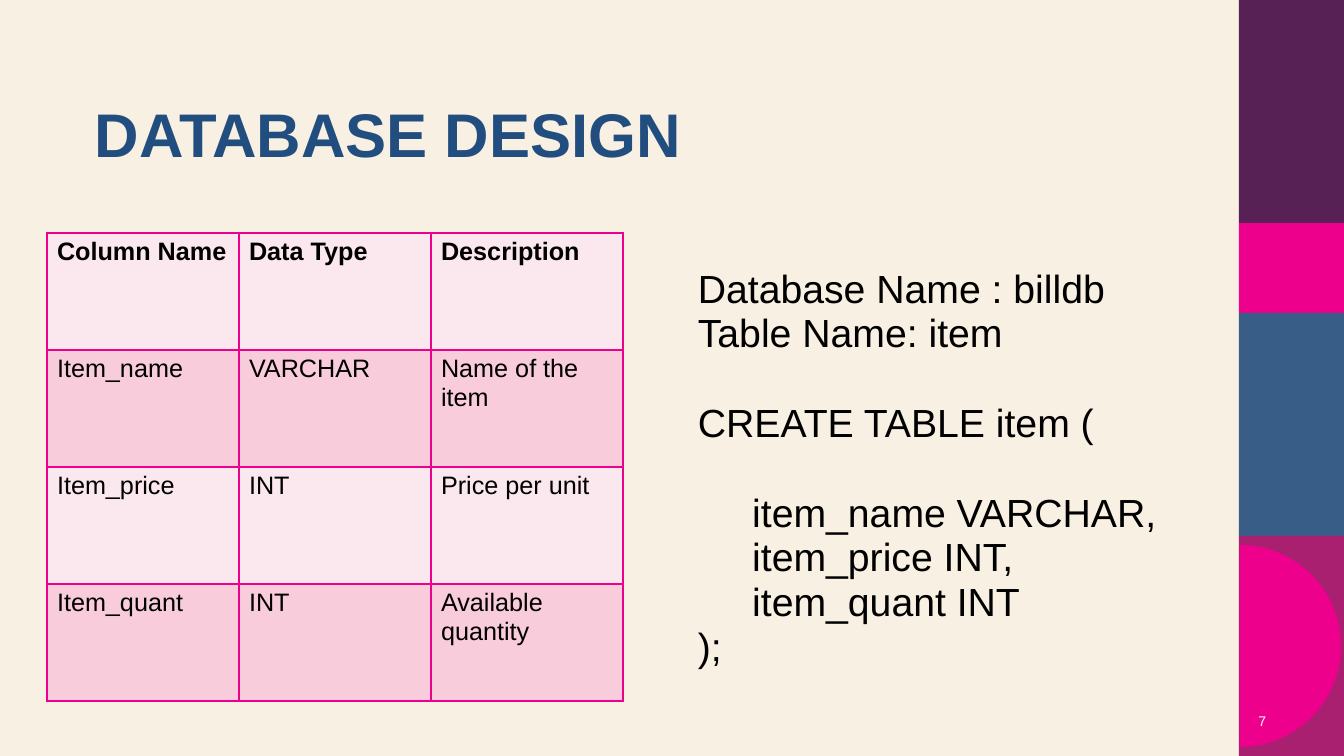
from math import cos, pi, sin

from lxml.etree import SubElement
from pptx import Presentation
from pptx.dml.color import RGBColor
from pptx.enum.shapes import MSO_SHAPE
from pptx.enum.text import MSO_ANCHOR, PP_ALIGN
from pptx.oxml.ns import qn
from pptx.util import Emu, Pt

COLORS = {
    "cream": "F8F0E3", "purple": "582156", "pink": "EC008C", "blue": "385E88",
    "magenta": "AA2070", "navy": "224E7F", "black": "000000", "white": "FFFFFF",
    "light_row": "FBE7EE", "dark_row": "F8CCDA",
}
FONT = "Arial"
SLIDE_W, SLIDE_H = 1344, 756
BAR_X = 1239

BANDS = [("purple", 0, 223), ("pink", 223, 313),
         ("blue", 313, 536), ("magenta", 536, SLIDE_H)]
COLUMNS = [
    ["Column Name", "Data Type", "Description"],
    ["Item_name", "VARCHAR", "Name of the item"],
    ["Item_price", "INT", "Price per unit"],
    ["Item_quant", "INT", "Available quantity"],
]
# Each line of the statement with the space after it in points
STATEMENT = [
    ("Database Name : billdb", 12),
    ("Table Name: item", 44),
    ("CREATE TABLE item (", 44),
    ("     item_name VARCHAR,", 12),
    ("     item_price INT,", 12),
    ("     item_quant INT", 12),
    (");", 12),
]


def px(n):
    return Emu(round(n * 914400 / 100.8))


def rgb(name):
    return RGBColor.from_string(COLORS[name])


def paint(sp, color):
    sp.shadow.inherit = False
    sp.fill.solid()
    sp.fill.fore_color.rgb = rgb(color)
    sp.line.fill.background()


def add_band(s, color, top, bottom):
    sp = s.shapes.add_shape(MSO_SHAPE.RECTANGLE, px(BAR_X), px(top),
                            px(SLIDE_W - BAR_X), px(bottom - top))
    paint(sp, color)


def add_half_disc(s, color, x, cy, radius, steps=90):
    angles = [pi * i / steps - pi / 2 for i in range(steps + 1)]
    points = [(px(x + radius * cos(a)), px(cy + radius * sin(a))) for a in angles]
    builder = s.shapes.build_freeform(*points[0])
    builder.add_line_segments(points[1:], close=True)
    paint(builder.convert_to_shape(), color)


def add_run(p, text, size, color, bold=False):
    r = p.add_run()
    r.text = text
    r.font.name = FONT
    r.font.size = Pt(size)
    r.font.bold = bold
    r.font.color.rgb = rgb(color)


def add_text_frame(s, x, y, w, h, anchor=MSO_ANCHOR.TOP):
    tf = s.shapes.add_textbox(px(x), px(y), px(w), px(h)).text_frame
    tf.word_wrap = True
    tf.vertical_anchor = anchor
    return tf


def add_statement(s, x, y, w, h):
    tf = add_text_frame(s, x, y, w, h)
    for i, (text, space_after) in enumerate(STATEMENT):
        p = tf.add_paragraph() if i else tf.paragraphs[0]
        p.line_spacing = Pt(20)
        p.space_after = Pt(space_after)
        add_run(p, text, 28, "black")


def set_borders(cell, color):
    tc_pr = cell._tc.get_or_add_tcPr()
    for side in ("a:lnL", "a:lnR", "a:lnT", "a:lnB"):
        ln = SubElement(tc_pr, qn(side), w=str(Pt(1)))
        fill = SubElement(ln, qn("a:solidFill"))
        SubElement(fill, qn("a:srgbClr"), val=COLORS[color])


def add_column_table(s, x, y, col_w, row_h):
    n_rows, n_cols = len(COLUMNS), len(COLUMNS[0])
    table = s.shapes.add_table(n_rows, n_cols, px(x), px(y),
                               px(col_w * n_cols), px(row_h * n_rows)).table
    table.first_row = table.horz_banding = False
    for col in table.columns:
        col.width = px(col_w)
    for i, values in enumerate(COLUMNS):
        table.rows[i].height = px(row_h)
        for j, text in enumerate(values):
            cell = table.cell(i, j)
            set_borders(cell, "pink")
            cell.fill.solid()
            cell.fill.fore_color.rgb = rgb("dark_row" if i % 2 else "light_row")
            add_run(cell.text_frame.paragraphs[0], text, 18, "black", bold=i == 0)


def main():
    prs = Presentation()
    prs.slide_width, prs.slide_height = px(SLIDE_W), px(SLIDE_H)
    s = prs.slides.add_slide(prs.slide_layouts[6])
    s.background.fill.solid()
    s.background.fill.fore_color.rgb = rgb("cream")

    # Colour bar on the right
    for band in BANDS:
        add_band(s, *band)
    add_half_disc(s, "pink", BAR_X + 1, 646, 101)

    # Title
    p = add_text_frame(s, 85, 99, 1035, 150).paragraphs[0]
    p.line_spacing = 0.9
    add_run(p, "DATABASE DESIGN", 44, "navy", bold=True)

    # Column table and SQL statement
    add_column_table(s, 47, 233, 192, 117)
    add_statement(s, 688, 278, 511, 400)

    # Slide number
    p = add_text_frame(s, 1226, 701, 50, 40, MSO_ANCHOR.MIDDLE).paragraphs[0]
    p.alignment = PP_ALIGN.RIGHT
    add_run(p, "7", 10, "white")

    prs.save("out.pptx")


if __name__ == "__main__":
    main()
